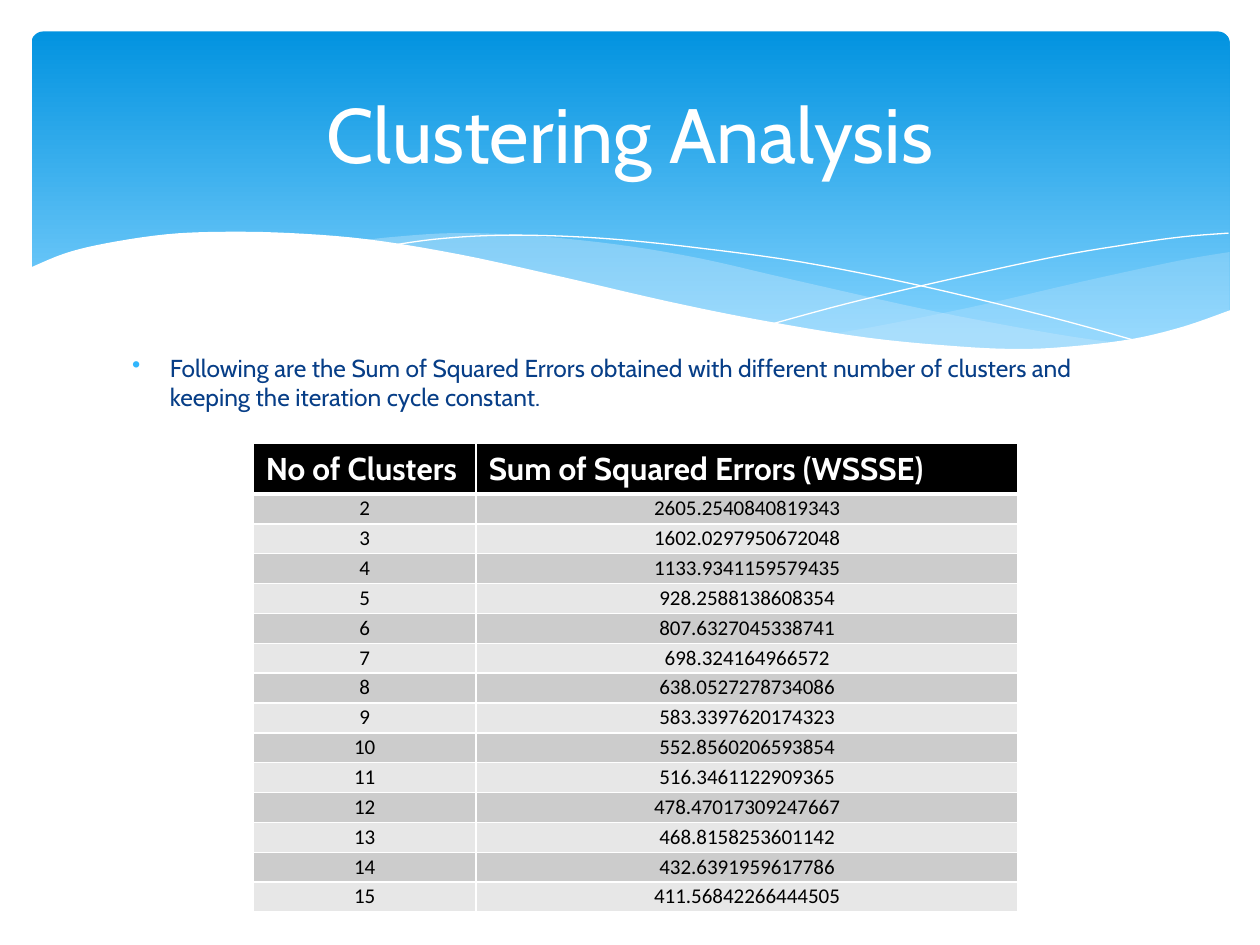
from dataclasses import dataclass

from lxml import etree
from pptx import Presentation
from pptx import util as u
from pptx.dml.color import RGBColor
from pptx.enum import shapes, text
from pptx.oxml.ns import qn


@dataclass(frozen=True)
class Theme:
    white: str = "FFFFFF"
    black: str = "000000"
    banner_top: str = "0293E0"
    banner_bottom: str = "83D3FE"
    wave: str = "C6E7FC"
    body: str = "073E87"
    bullet: str = "31B6FD"
    bands: tuple = ("CCCCCC", "E7E7E7")
    heading_font: str = "Cabin"
    value_font: str = "Calibri"
    title_size: int = 44
    body_size: int = 14
    header_size: int = 18
    value_size: int = 12


THEME = Theme()

HEADERS = ("No of Clusters", "Sum of Squared Errors (WSSSE)")
ERRORS = (
    "2605.2540840819343", "1602.0297950672048", "1133.9341159579435",
    "928.2588138608354", "807.6327045338741", "698.324164966572",
    "638.0527278734086", "583.3397620174323", "552.8560206593854",
    "516.3461122909365", "478.47017309247667", "468.8158253601142",
    "432.6391959617786", "411.56842266444505",
)

# Wave outlines: each is a list of smooth edges, given by their knots
RIGHT_WAVE = [
    [(9.76, 2), (9.35, 2.07), (8.61, 2.23), (7.79, 2.42), (7.06, 2.57), (6.61, 2.65)],
    [(6.61, 2.65), (7.05, 2.71), (7.57, 2.76), (8.03, 2.78), (8.54, 2.76),
     (9.05, 2.69), (9.42, 2.59), (9.76, 2.47)],
]
MIDDLE_WAVE = [
    [(8.93, 2.73), (8.37, 2.65), (7.41, 2.47), (6.29, 2.22), (5.55, 2.05),
     (4.89, 1.94), (4.2, 1.87), (3.61, 1.85), (3.13, 1.88), (2.86, 1.91)],
    [(2.86, 1.91), (3.42, 1.99), (4.04, 2.11), (4.91, 2.32), (5.66, 2.48),
     (6.5, 2.64), (7.22, 2.74), (7.73, 2.77), (8.18, 2.78), (8.57, 2.77), (8.93, 2.73)],
]
FALLING_LINE = [
    [(3.09, 1.95), (3.44, 1.9), (3.87, 1.87), (4.33, 1.87), (4.89, 1.9), (5.56, 1.97),
     (6.36, 2.08), (7.27, 2.26), (8.31, 2.51), (9.07, 2.72)],
]
RISING_LINE = [
    [(6.13, 2.57), (6.72, 2.41), (7.48, 2.23), (8.36, 2.04), (8.95, 1.94),
     (9.38, 1.88), (9.75, 1.85)],
]
WHITE_WAVE = [
    [(9.77, 2.46), (9.4, 2.59), (8.99, 2.69), (8.5, 2.75), (8.09, 2.77), (7.61, 2.75),
     (6.88, 2.68), (6.03, 2.54), (5.29, 2.39), (4.47, 2.2), (3.65, 2.02), (2.92, 1.9),
     (2.3, 1.85), (1.77, 1.84), (1.32, 1.86), (0.85, 1.93), (0.52, 2.01), (0.23, 2.13)],
    [(0.23, 3.29)],
    [(9.77, 3.29)],
]


def rgb(color):
    return RGBColor.from_string(color)


def smooth_edge(knots, steps=5):
    """Return points of a Catmull-Rom curve through the knots."""
    padded = [knots[0], *knots, knots[-1]]
    points = [knots[0]]
    for a, b, c, d in zip(padded, padded[1:], padded[2:], padded[3:]):
        for step in range(1, steps + 1):
            t = step / steps
            points.append(tuple(
                (2 * q + (r - p) * t + (2 * p - 5 * q + 4 * r - s) * t ** 2
                 + (3 * q - p - 3 * r + s) * t ** 3) / 2
                for p, q, r, s in zip(a, b, c, d)))
    return points


def set_font(paragraph, name, size, color, bold=False):
    font = paragraph.font
    font.name, font.size, font.bold = name, u.Pt(size), bold
    font.color.rgb = rgb(color)


def add_banner(slide):
    banner = slide.shapes.add_shape(
        shapes.MSO_SHAPE.ROUNDED_RECTANGLE,
        u.Inches(0.25), u.Inches(0.25), u.Inches(9.51), u.Inches(2.7))
    banner.adjustments[0] = 0.034
    banner.shadow.inherit = False
    banner.line.fill.background()
    banner.fill.gradient()
    banner.fill.gradient_angle = 270
    stops = banner.fill.gradient_stops
    for stop, position, color in zip(stops, (0, 0.9), (THEME.banner_top, THEME.banner_bottom)):
        stop.position = position
        stop.color.rgb = rgb(color)


def add_curve(slide, edges, fill=None, opacity=100):
    """Add a filled wave, or a white hairline when there is no fill."""
    points = [(u.Inches(x), u.Inches(y)) for edge in edges for x, y in smooth_edge(edge)]
    builder = slide.shapes.build_freeform(*points[0])
    builder.add_line_segments(points[1:], close=fill is not None)
    shape = builder.convert_to_shape()
    shape.shadow.inherit = False
    if fill is None:
        shape.fill.background()
        shape.line.color.rgb = rgb(THEME.white)
        shape.line.width = u.Pt(0)
        return
    shape.line.fill.background()
    shape.fill.solid()
    shape.fill.fore_color.rgb = rgb(fill)
    if opacity < 100:
        color = shape._element.spPr.find(qn("a:solidFill"))[0]
        etree.SubElement(color, qn("a:alpha"), val=str(opacity * 1000))


def add_text(slide, box, words, size, color):
    shape = slide.shapes.add_textbox(*map(u.Inches, box))
    frame = shape.text_frame
    frame.word_wrap = True
    paragraph = frame.paragraphs[0]
    paragraph.text = words
    set_font(paragraph, THEME.heading_font, size, color)
    return frame


def add_bullet(paragraph, color, indent):
    properties = paragraph._p.get_or_add_pPr()
    properties.set("marL", str(u.Inches(indent)))
    properties.set("indent", str(-u.Inches(indent)))
    bullet_color = etree.Element(qn("a:buClr"))
    etree.SubElement(bullet_color, qn("a:srgbClr"), val=color)
    bullet = etree.Element(qn("a:buChar"), char="•")
    font = properties.find(qn("a:defRPr"))
    font.addprevious(bullet_color)
    font.addprevious(bullet)


def set_borders(cell, **widths):
    properties = cell._tc.get_or_add_tcPr()
    for side in "LRTB":
        line = etree.SubElement(
            properties, qn(f"a:ln{side}"), w=str(u.Pt(widths.get(side, 1))))
        fill = etree.SubElement(line, qn("a:solidFill"))
        etree.SubElement(fill, qn("a:srgbClr"), val=THEME.white)


def fill_cell(cell, words, fill):
    cell.fill.solid()
    cell.fill.fore_color.rgb = rgb(fill)
    paragraph = cell.text_frame.paragraphs[0]
    paragraph.text = words
    return paragraph


def add_error_table(slide):
    header_height, row_height = 0.39, 0.24
    table = slide.shapes.add_table(
        len(ERRORS) + 1, 2, u.Inches(2.01), u.Inches(3.52), u.Inches(6.07), u.Inches(3.71)).table
    for column, width in zip(table.columns, (1.77, 4.3)):
        column.width = u.Inches(width)
    for row in table.rows:
        row.height = int((u.Inches(3.71) - u.Inches(header_height)) / len(ERRORS))
    table.rows[0].height = u.Inches(header_height)

    # Header row
    for cell, words in zip(table.rows[0].cells, HEADERS):
        set_borders(cell, B=3)
        paragraph = fill_cell(cell, words, THEME.black)
        set_font(paragraph, THEME.heading_font, THEME.header_size, THEME.white, bold=True)

    # Banded value rows, counted from two clusters
    for index, error in enumerate(ERRORS):
        for cell, words in zip(table.rows[index + 1].cells, (str(index + 2), error)):
            set_borders(cell, T=1 if index else 3)
            paragraph = fill_cell(cell, words, THEME.bands[index % 2])
            cell.margin_left = cell.margin_right = u.Inches(0.07)
            cell.margin_top = cell.margin_bottom = 0
            paragraph.alignment = text.PP_ALIGN.CENTER
            paragraph.line_spacing = 1.07
            set_font(paragraph, THEME.value_font, THEME.value_size, THEME.black)


def main():
    presentation = Presentation()
    presentation.slide_width, presentation.slide_height = u.Inches(10), u.Inches(7.5)
    slide = presentation.slides.add_slide(presentation.slide_layouts[6])

    # Banner with waves
    add_banner(slide)
    add_curve(slide, RIGHT_WAVE, THEME.wave, 29)
    add_curve(slide, MIDDLE_WAVE, THEME.wave, 40)
    add_curve(slide, FALLING_LINE)
    add_curve(slide, RISING_LINE)
    add_curve(slide, WHITE_WAVE, THEME.white)

    # Introduction and title
    introduction = add_text(
        slide, (0.95, 2.75, 8.1, 3.95),
        "Following are the Sum of Squared Errors obtained with different number of "
        "clusters and keeping the iteration cycle constant.",
        THEME.body_size, THEME.body).paragraphs[0]
    introduction.space_before = u.Pt(2.8)
    add_bullet(introduction, THEME.bullet, 0.3)
    title = add_text(
        slide, (0.5, 0.37, 9, 1.37), "Clustering Analysis", THEME.title_size, THEME.white)
    title.vertical_anchor = text.MSO_ANCHOR.MIDDLE
    title.paragraphs[0].alignment = text.PP_ALIGN.CENTER

    add_error_table(slide)
    presentation.save("out.pptx")


main()
